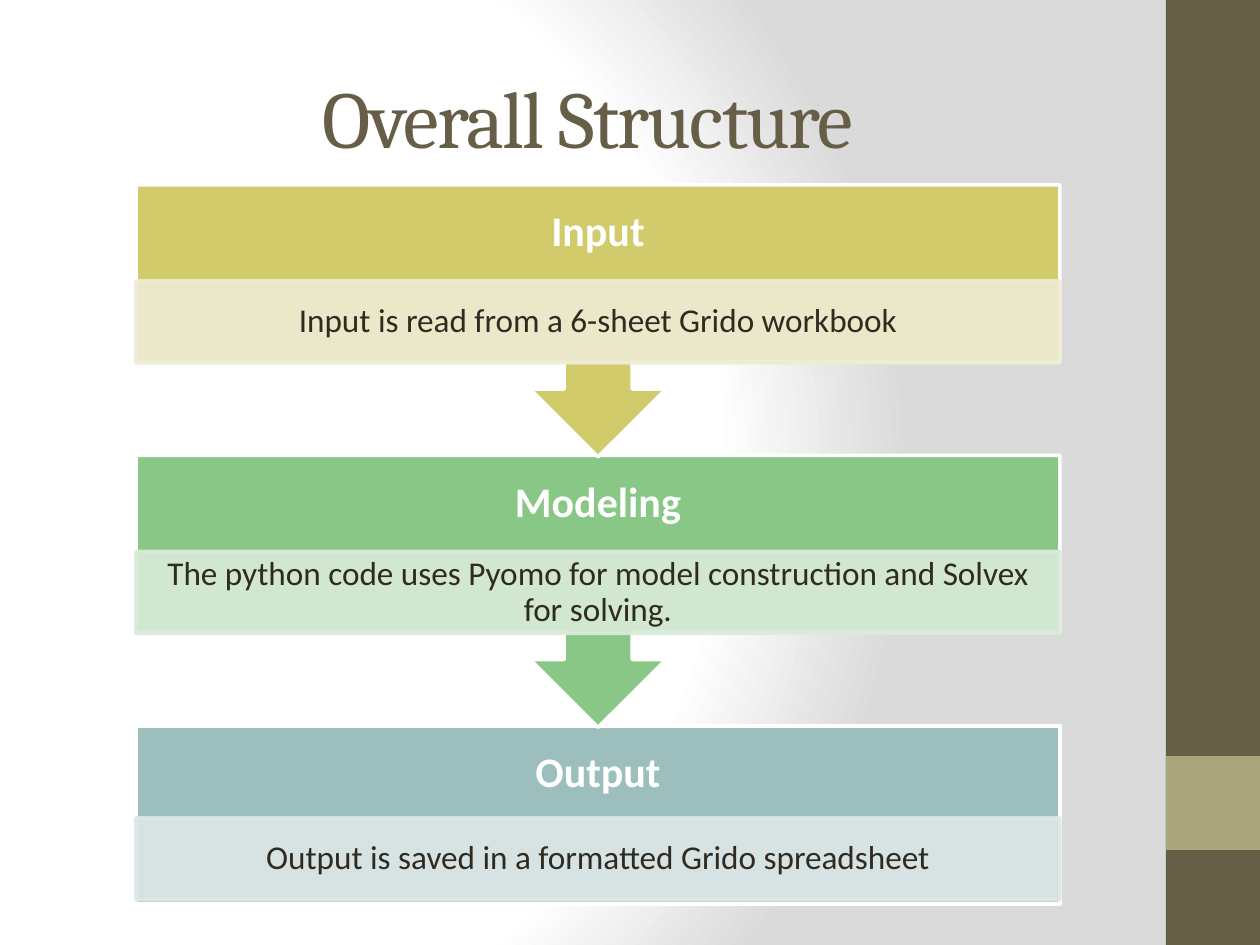
from lxml.etree import SubElement
from pptx import Presentation
from pptx.dml.color import RGBColor
from pptx.enum.shapes import MSO_SHAPE as Shape
from pptx.enum.text import MSO_ANCHOR as Anchor, PP_ALIGN as Align
from pptx.oxml import parse_xml
from pptx.oxml.ns import nsdecls, qn
from pptx.util import Emu, Pt

# Content
TITLE = "Overall Structure"
STAGES = [
    # heading, detail, heading fill, detail fill
    ("Input", "Input is read from a 6-sheet Grido workbook", "D2CB6C", "EEECD4"),
    ("Modeling", "The python code uses Pyomo for model construction and Solvex for solving.",
     "88C785", "DAEBD9"),
    ("Output", "Output is saved in a formatted Grido spreadsheet", "9CBEBD", "DEE8E8"),
]
BROWN, OLIVE, INK, WHITE = "675E47", "A9A57C", "2F2B20", "FFFFFF"
BACKDROP = [(0, WHITE), (75, WHITE), (100, "DADADA")]

# Layout in pixels
SCALE = 914400 // 126
WIDTH, HEIGHT = 1260, 945
BAND_LEFT, BAND_WIDTH = 1166, 94
STAGE_LEFT, STAGE_WIDTH = 136, 924
STAGE_TOP, STAGE_STEP = 185, 270.5
CALLOUT_HEIGHT, LAST_HEIGHT = 272, 178
HEADING_HEIGHT, DETAIL_HEIGHT = 96, 82
LAST_DETAIL_OFFSET = 92


def px(value):
    return Emu(round(value * SCALE))


def color(value):
    return RGBColor.from_string(value)


def add_block(kind, left, top, width, height, fill, line=None, opacity=100):
    block = page.shapes.add_shape(kind, px(left), px(top), px(width), px(height))
    block.shadow.inherit = False
    block.fill.solid()
    block.fill.fore_color.rgb = color(fill)
    if line:
        block.line.color.rgb = color(line)
        block.line.width = Pt(2)
    else:
        block.line.fill.background()
    if opacity < 100:
        for tint in block._element.spPr.iter(qn("a:srgbClr")):
            SubElement(tint, qn("a:alpha"), val=str(opacity * 1000))
    return block


def add_box(left, top, width, height):
    return page.shapes.add_textbox(px(left), px(top), px(width), px(height))


def write(shape, text, size, ink, font="Calibri", bold=False, inset=(13, 6),
          line_spacing=0.9, tracking=None):
    frame = shape.text_frame
    frame.word_wrap = True
    frame.vertical_anchor = Anchor.MIDDLE
    frame.margin_left = frame.margin_right = px(inset[0])
    frame.margin_top = frame.margin_bottom = px(inset[1])
    para = frame.paragraphs[0]
    para.alignment = Align.CENTER
    para.line_spacing = line_spacing
    span = para.add_run()
    span.text = text
    span.font.name = font
    span.font.size = Pt(size)
    span.font.bold = bold
    span.font.color.rgb = color(ink)
    if tracking:
        span.font._element.set("spc", str(tracking * 100))


def set_backdrop(stops):
    marks = "".join(f'<a:gs pos="{pos * 1000}"><a:srgbClr val="{tint}"/></a:gs>'
                    for pos, tint in stops)
    page._element.cSld.insert(0, parse_xml(
        f'<p:bg {nsdecls("p", "a")}><p:bgPr><a:gradFill rotWithShape="1">'
        f'<a:gsLst>{marks}</a:gsLst><a:path path="circle">'
        '<a:fillToRect l="20000" t="50000" r="100000" b="50000"/></a:path>'
        '</a:gradFill><a:effectLst/></p:bgPr></p:bg>'))


deck = Presentation()
deck.slide_width, deck.slide_height = px(WIDTH), px(HEIGHT)
page = deck.slides.add_slide(deck.slide_layouts[6])

# Backdrop, side band and title
set_backdrop(BACKDROP)
add_block(Shape.RECTANGLE, BAND_LEFT, 0, BAND_WIDTH, HEIGHT, BROWN)
add_block(Shape.RECTANGLE, BAND_LEFT, 756, BAND_WIDTH, 94, OLIVE)
write(add_box(63, 38, 1050, 157), TITLE, 46, BROWN, font="Cambria",
      line_spacing=1.0, tracking=-1)

# Stages, last one first so that each arrow tip lies over the next stage
last = len(STAGES) - 1
for index, (heading, detail, fill, pale) in reversed(list(enumerate(STAGES))):
    top = STAGE_TOP + index * STAGE_STEP
    if index == last:
        add_block(Shape.RECTANGLE, STAGE_LEFT, top, STAGE_WIDTH, LAST_HEIGHT, fill, WHITE)
        detail_top = top + LAST_DETAIL_OFFSET
    else:
        callout = add_block(Shape.UP_ARROW_CALLOUT, STAGE_LEFT, top, STAGE_WIDTH,
                            CALLOUT_HEIGHT, fill, WHITE)
        callout.rotation = 180
        detail_top = top + HEADING_HEIGHT
    write(add_box(STAGE_LEFT, top, STAGE_WIDTH, HEADING_HEIGHT), heading, 24, WHITE,
          bold=True, inset=(24, 24))
    panel = add_block(Shape.RECTANGLE, STAGE_LEFT, detail_top, STAGE_WIDTH, DETAIL_HEIGHT,
                      pale, pale, opacity=90)
    write(panel, detail, 19, INK, inset=(19, 4))

deck.save("out.pptx")
